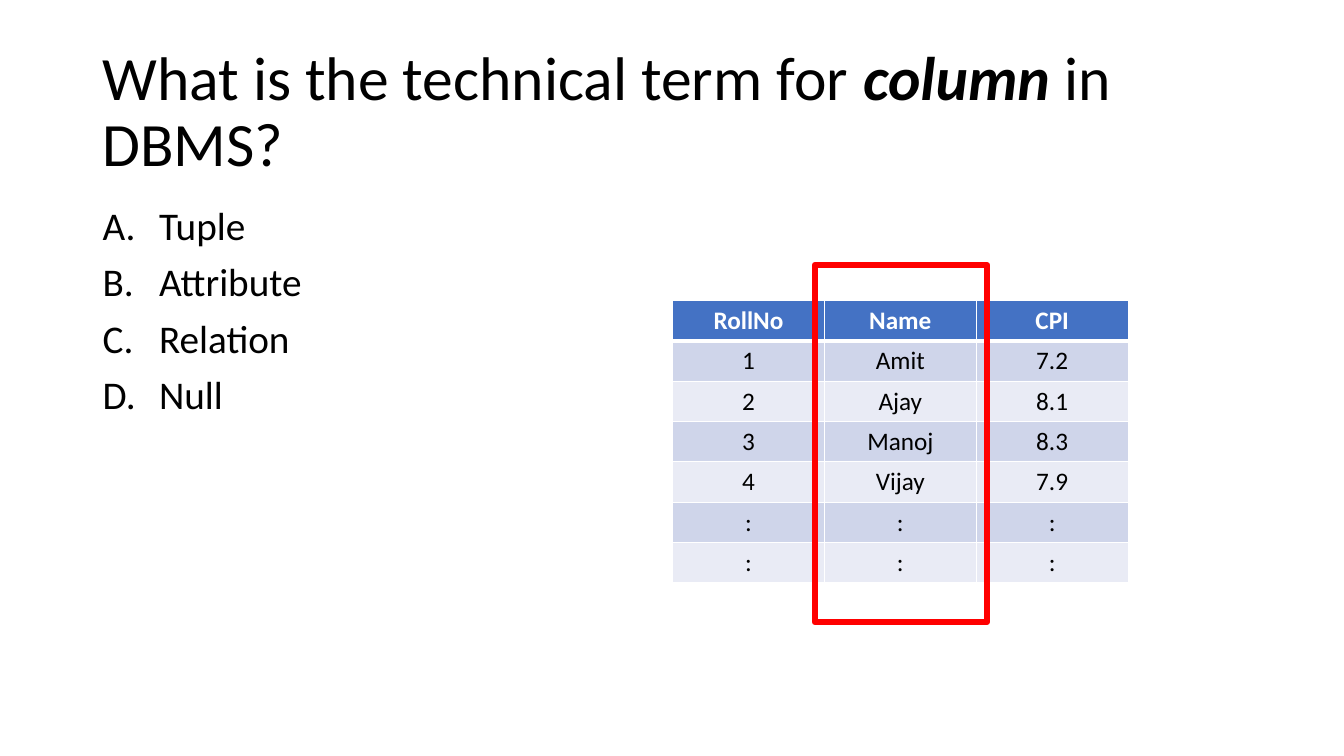
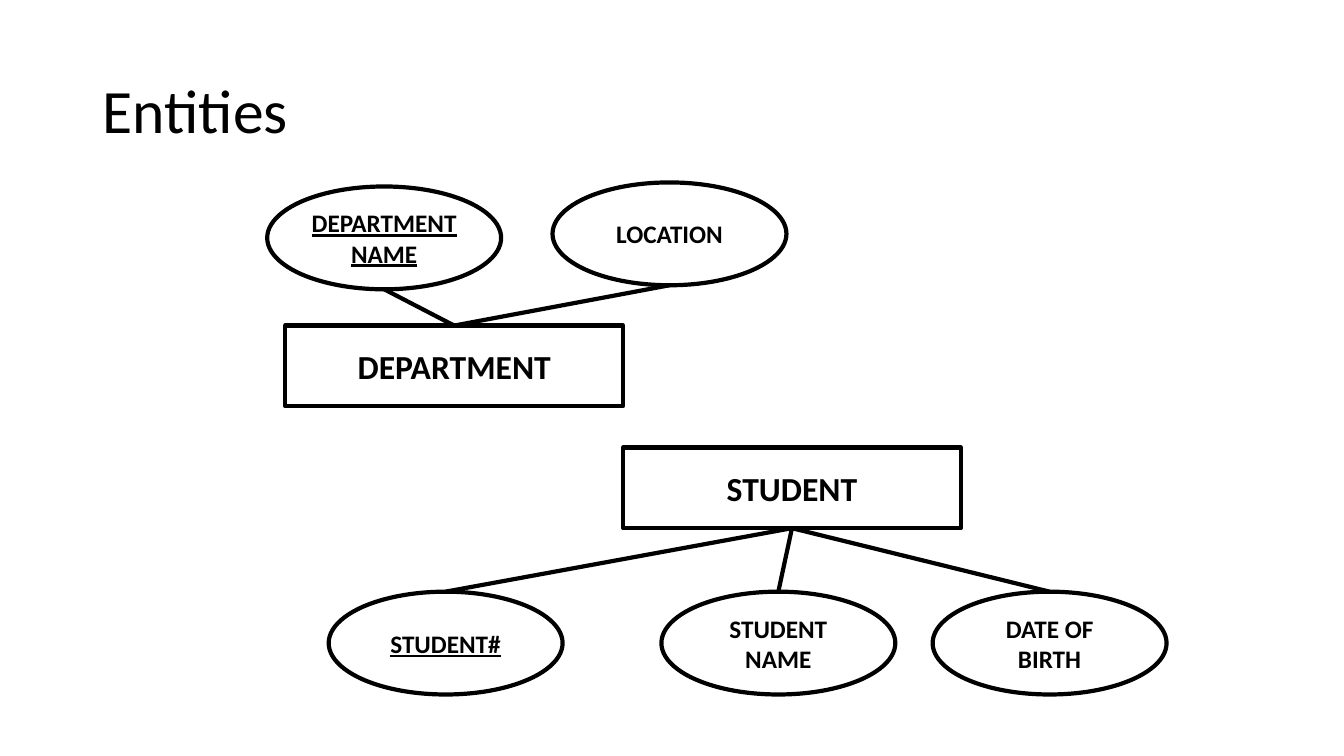
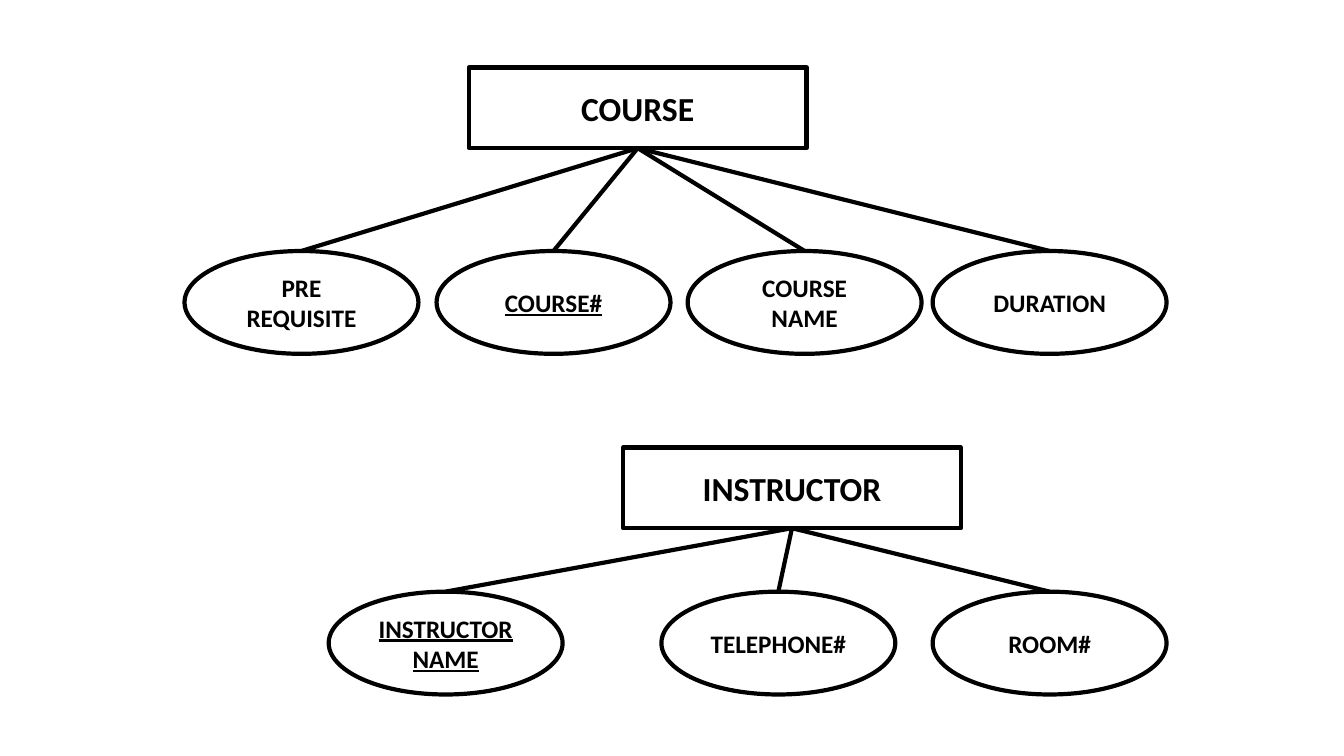
import pptx
import pptx.dml.color
import pptx.enum.shapes
import pptx.enum.text
import pptx.oxml
import pptx.oxml.ns
import pptx.util
from lxml import etree

Inches = pptx.util.Inches
Pt = pptx.util.Pt
RGBColor = pptx.dml.color.RGBColor
MSO_SHAPE = pptx.enum.shapes.MSO_SHAPE
PP_ALIGN = pptx.enum.text.PP_ALIGN
MSO_ANCHOR = pptx.enum.text.MSO_ANCHOR
qn = pptx.oxml.ns.qn

BLACK = RGBColor(0x00, 0x00, 0x00)
WHITE = RGBColor(0xFF, 0xFF, 0xFF)
RED = RGBColor(0xFF, 0x00, 0x00)
HEADER_BLUE = RGBColor(0x44, 0x72, 0xC4)
BAND_DARK = RGBColor(0xCF, 0xD5, 0xEA)
BAND_LIGHT = RGBColor(0xE9, 0xEB, 0xF5)
FONT = "Calibri"

MARGIN, CONTENT_W = 0.92, 11.5
ENTITY_W, ENTITY_H = 3.35, 0.8
ATTR_W, ATTR_H = 2.32, 1.02
ROW_H = 0.4


def add_run(p, text, size, color=BLACK, bold=False, italic=False, underline=False):
    r = p.add_run()
    r.text = text
    r.font.name = FONT
    r.font.size = Pt(size)
    r.font.color.rgb = color
    r.font.bold = bold
    r.font.italic = italic
    r.font.underline = underline


def add_text_frame(s, left, top, width, height):
    sp = s.shapes.add_textbox(Inches(left), Inches(top), Inches(width), Inches(height))
    tf = sp.text_frame
    tf.word_wrap = True
    return tf


def add_title(s, parts):
    tf = add_text_frame(s, MARGIN, 0.4, CONTENT_W, 1.45)
    tf.vertical_anchor = MSO_ANCHOR.MIDDLE
    p = tf.paragraphs[0]
    p.line_spacing = 0.9
    for text, strong in parts:
        add_run(p, text, 44, bold=strong, italic=strong)


def add_choices(s, left, top, width, height, choices):
    tf = add_text_frame(s, left, top, width, height)
    for i, choice in enumerate(choices):
        p = tf.add_paragraph() if i else tf.paragraphs[0]
        pPr = p._p.get_or_add_pPr()
        pPr.set("marL", str(Inches(0.56)))
        pPr.set("indent", str(Inches(-0.56)))
        etree.SubElement(pPr, qn("a:buFont"), typeface="+mj-lt")
        etree.SubElement(pPr, qn("a:buAutoNum"), type="alphaUcPeriod")
        p.line_spacing = 0.9
        if i:
            p.space_before = Pt(10)
        add_run(p, choice, 28)


def set_borders(cell, bottom):
    tcPr = cell._tc.get_or_add_tcPr()
    for i, (side, width) in enumerate((("L", 1), ("R", 1), ("T", 1), ("B", bottom))):
        ln = etree.Element(qn("a:ln" + side), w=str(Pt(width)))
        fill = etree.SubElement(ln, qn("a:solidFill"))
        etree.SubElement(fill, qn("a:srgbClr"), val=str(WHITE))
        tcPr.insert(i, ln)


def add_student_table(s, left, top, width, rows):
    n_cols = len(rows[0])
    table = s.shapes.add_table(len(rows), n_cols, Inches(left), Inches(top),
                               Inches(width), Inches(ROW_H * len(rows))).table
    for col in table.columns:
        col.width = Inches(width / n_cols)
    for i, values in enumerate(rows):
        header = i == 0
        band = BAND_DARK if i % 2 else BAND_LIGHT
        table.rows[i].height = Inches(ROW_H)
        for j, value in enumerate(values):
            cell = table.cell(i, j)
            cell.fill.solid()
            cell.fill.fore_color.rgb = HEADER_BLUE if header else band
            set_borders(cell, 3 if header else 1)
            p = cell.text_frame.paragraphs[0]
            p.alignment = PP_ALIGN.CENTER
            add_run(p, value, 18, WHITE if header else BLACK, bold=header)


def add_outline(s, kind, left, top, width, height, color, weight, fill=None):
    sp = s.shapes.add_shape(kind, Inches(left), Inches(top), Inches(width), Inches(height))
    sp.shadow.inherit = False
    if fill is None:
        sp.fill.background()
    else:
        sp.fill.solid()
        sp.fill.fore_color.rgb = fill
    sp.line.color.rgb = color
    sp.line.width = Pt(weight)
    return sp


def add_label(sp, text, size, underline=False):
    tf = sp.text_frame
    tf.word_wrap = True
    tf.vertical_anchor = MSO_ANCHOR.MIDDLE
    p = tf.paragraphs[0]
    p.alignment = PP_ALIGN.CENTER
    add_run(p, text, size, bold=True, underline=underline)


def add_link(s, entity, attr):
    above = attr.top < entity.top
    attr_y = attr.top + attr.height if above else attr.top
    entity_y = entity.top if above else entity.top + entity.height
    link = s.shapes.add_connector(pptx.enum.shapes.MSO_CONNECTOR.STRAIGHT,
                                  entity.left + entity.width // 2, entity_y,
                                  attr.left + attr.width // 2, attr_y)
    link.begin_connect(entity, 0 if above else 2)
    if not above:
        link.end_connect(attr, 0)
    link.line.color.rgb = BLACK
    link.line.width = Pt(3)
    etree.SubElement(link._element.spPr, qn("a:effectLst"))


def add_entity(s, left, top, name, attributes):
    entity = add_outline(s, MSO_SHAPE.RECTANGLE, left, top, ENTITY_W, ENTITY_H, BLACK, 3)
    add_label(entity, name, 24)
    for text, dx, dy, is_key in attributes:
        attr = add_outline(s, MSO_SHAPE.OVAL, left + dx, top + dy,
                           ATTR_W, ATTR_H, BLACK, 3, WHITE)
        add_label(attr, text, 18, is_key)
        add_link(s, entity, attr)


def add_three_attribute_entity(s, name, key, second, third):
    add_entity(s, 6.18, 4.44, name, [
        (key, -2.92, 1.43, True),
        (second, 0.38, 1.43, False),
        (third, 3.07, 1.43, False),
    ])


def build_question(s):
    add_title(s, [("What is the technical term for ", False), ("column", True),
                  (" in DBMS?", False)])
    add_choices(s, MARGIN, 2, CONTENT_W, 4.76, ["Tuple", "Attribute", "Relation", "Null"])
    add_student_table(s, 6.67, 2.98, 4.52, [
        ("RollNo", "Name", "CPI"),
        ("1", "Amit", "7.2"),
        ("2", "Ajay", "8.1"),
        ("3", "Manoj", "8.3"),
        ("4", "Vijay", "7.9"),
        (":", ":", ":"),
        (":", ":", ":"),
    ])
    add_outline(s, MSO_SHAPE.RECTANGLE, 8.08, 2.63, 1.71, 3.54, RED, 4.5)


def build_entities(s):
    add_title(s, [("Entities", False)])
    add_entity(s, 2.83, 3.23, "DEPARTMENT", [
        ("DEPARTMENT NAME", -0.18, -1.38, True),
        ("LOCATION", 2.65, -1.42, False),
    ])
    add_three_attribute_entity(s, "STUDENT", "STUDENT#", "STUDENT NAME", "DATE OF BIRTH")


def build_more_entities(s):
    add_entity(s, 4.65, 0.67, "COURSE", [
        ("PRE REQUISITE", -2.82, 1.82, False),
        ("COURSE#", -0.32, 1.82, True),
        ("COURSE NAME", 2.17, 1.82, False),
        ("DURATION", 4.6, 1.82, False),
    ])
    add_three_attribute_entity(s, "INSTRUCTOR", "INSTRUCTOR NAME", "TELEPHONE#", "ROOM#")


def main():
    prs = pptx.Presentation()
    prs.slide_width = Inches(13.33)
    prs.slide_height = Inches(7.5)
    for build in (build_question, build_entities, build_more_entities):
        build(prs.slides.add_slide(prs.slide_layouts[6]))
    prs.save("out.pptx")


if __name__ == "__main__":
    main()
